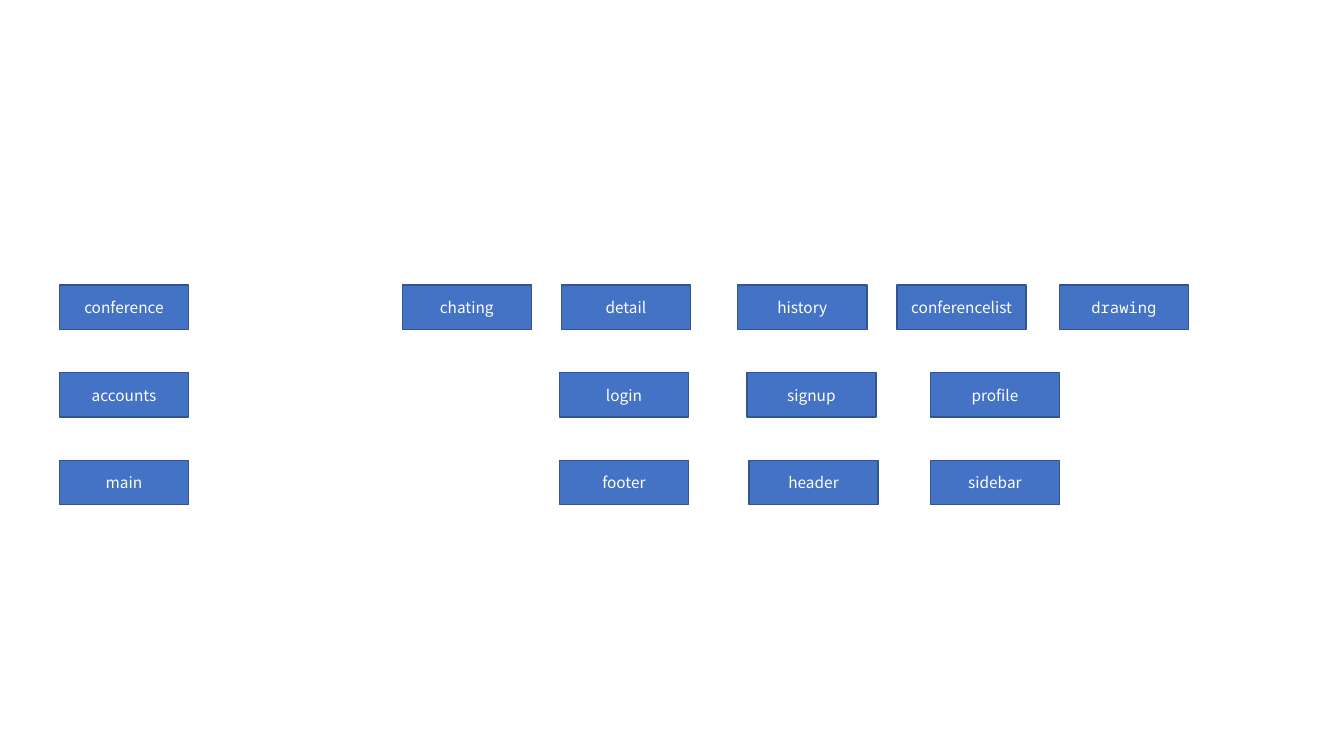
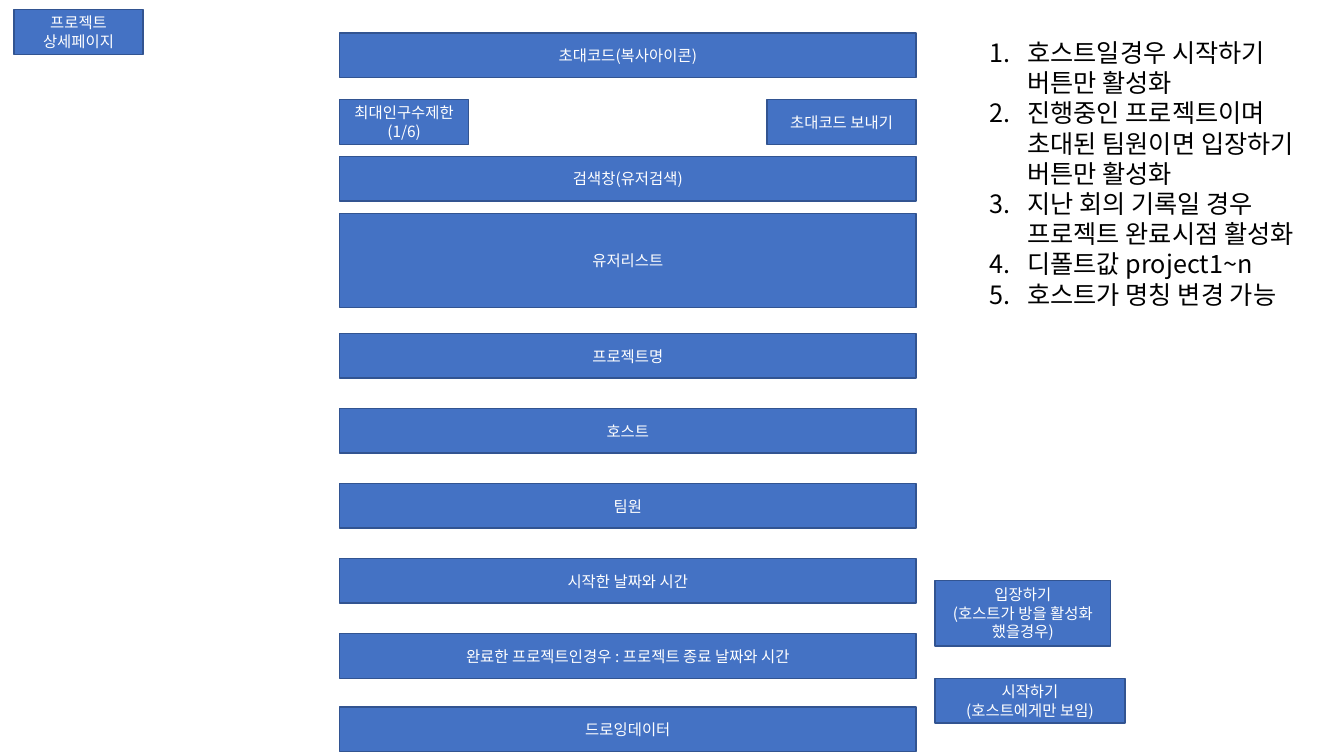
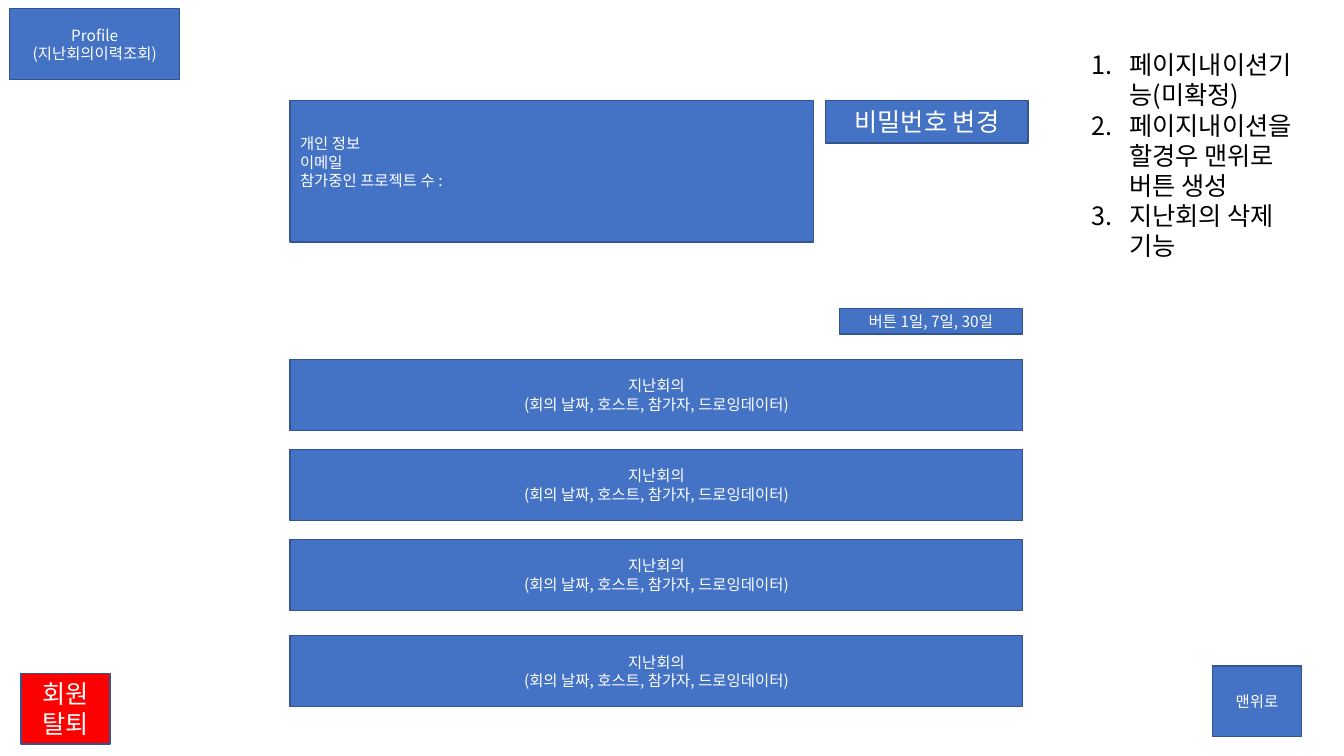
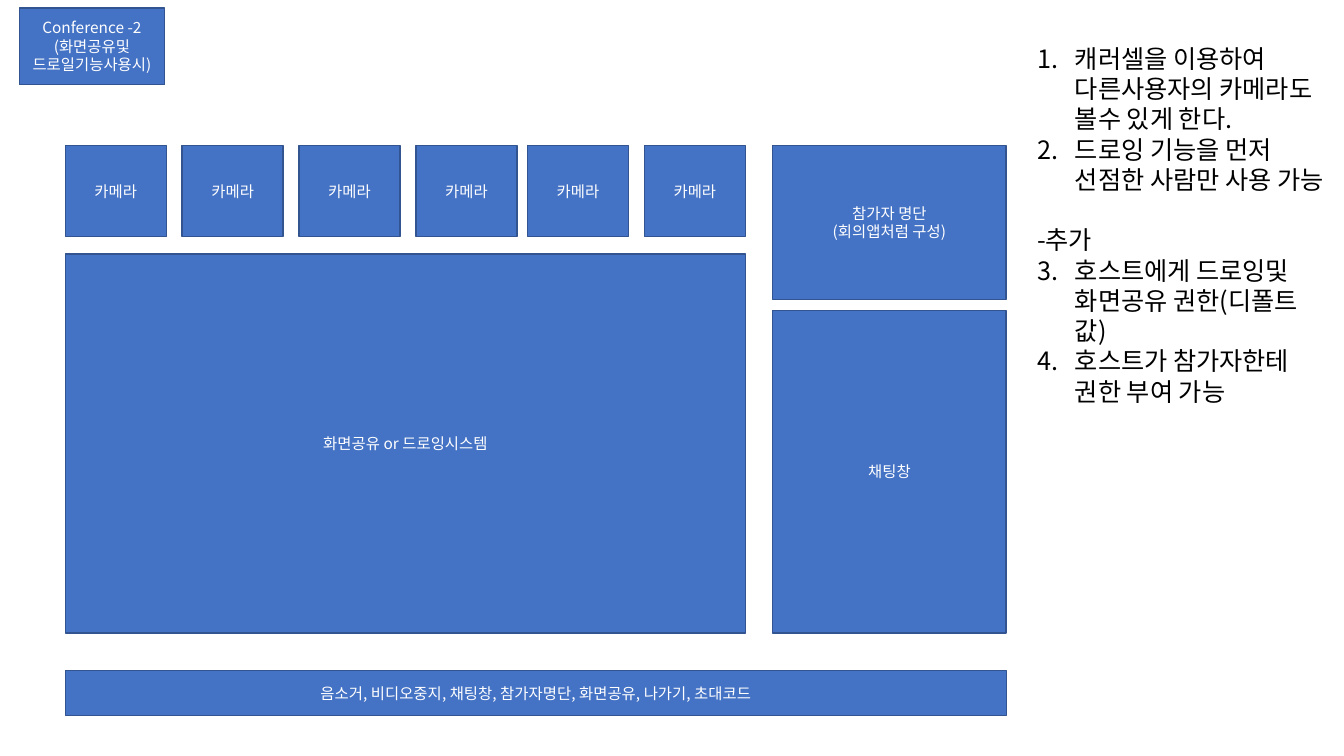
"""Build four wireframe slides for a video conference web app."""
from dataclasses import dataclass

from lxml.etree import SubElement
from pptx import Presentation
from pptx.dml.color import RGBColor
from pptx.enum.shapes import MSO_SHAPE
from pptx.enum.text import MSO_ANCHOR, MSO_AUTO_SIZE, PP_ALIGN
from pptx.oxml.ns import qn
from pptx.util import Pt


@dataclass(frozen=True)
class Theme:
    font: str = "Noto Sans CJK KR"
    mono: str = "Noto Sans Mono"
    fill: str = "4472C4"
    edge: str = "325491"
    alert: str = "FF0000"
    light: str = "FFFFFF"
    dark: str = "000000"
    small: float = 11
    large: float = 18
    lead: float = 1.2
    indent: float = 27


look = Theme()
WIDE, HIGH = 960, 540
BOX = (92.2, 31.8)

apps = [
    ("conference", [("chating", 287.3), ("detail", 401), ("history", 527),
                    ("conferencelist", 640.8), ("drawing", 756.7)]),
    ("accounts", [("login", 399.6), ("signup", 533.5), ("profile", 664.6)]),
    ("main", [("footer", 399.6), ("header", 535), ("sidebar", 664.6)]),
]
APP_X, APP_Y, APP_STEP = 42.5, 203.6, 62.6

STACK_X, STACK_W, STACK_Y, STACK_STEP = 242.6, 411.8, 238.3, 53.6
fields = ["프로젝트명", "호스트", "팀원", "시작한 날짜와 시간",
          "완료한 프로젝트인경우 : 프로젝트 종료 날짜와 시간"]
detail = [
    (["프로젝트 상세페이지"], 10, 7, *BOX),
    (["초대코드(복사아이콘)"], STACK_X, 23.6, STACK_W, BOX[1]),
    (["최대인구수제한", "(1/6)"], STACK_X, 71.3, *BOX),
    (["초대코드 보내기"], 547.9, 71.3, 106.5, BOX[1]),
    (["검색창(유저검색)"], STACK_X, 111.8, STACK_W, BOX[1]),
    (["유저리스트"], STACK_X, 152.6, STACK_W, 67),
    (["드로잉데이터"], STACK_X, 504.9, STACK_W, BOX[1]),
    (["입장하기", "(호스트가 방을 활성화 했을경우)"], 668, 414.6, 125.3, 47),
    (["시작하기", "(호스트에게만 보임)"], 668, 484.6, 135.5, BOX[1]),
]
rules = [
    (1, "호스트일경우 시작하기 버튼만 활성화"),
    (2, "진행중인 프로젝트이며 초대된 팀원이면 입장하기 버튼만 활성화"),
    (3, "지난 회의 기록일 경우 프로젝트 완료시점 활성화"),
    (4, "디폴트값 project1~n"),
    (5, "호스트가 명칭 변경 가능"),
]

PAST_X, PAST_W, PAST_H = 207.2, 523.4, 50.8
past = ["지난회의", "(회의 날짜, 호스트, 참가자, 드로잉데이터)"]
past_tops = [256.8, 321.1, 385.4, 454]
info = ["개인 정보", "이메일", "참가중인 프로젝트 수 :"]
profile = [
    (["Profile", "(지난회의이력조회)"], 7, 6.3, 121.3, 50.5),
    (["버튼 1일, 7일, 30일"], 599.6, 220.3, 130.6, 18.3),
    (["맨위로"], 866, 475.8, 63.7, 50.5),
]
paging = [
    (1, "페이지내이션기능(미확정)"),
    (2, "페이지내이션을 할경우 맨위로 버튼 생성"),
    (3, "지난회의 삭제 기능"),
]

CAM_Y, CAM_W, CAM_H, CAM_STEP = 104, 72.2, 64.8, 83.5
cam_sets = [(46.6, 4), (376.8, 2)]
room = [
    (["Conference -2", "(화면공유및", "드로일기능사용시)"], 13.9, 5.6, 103.7, 55),
    (["화면공유 or 드로잉시스템"], 46.6, 181.4, 486, 270.7),
    (["참가자 명단", "(회의앱처럼 구성)"], 552, 104, 166.7, 109.8),
    (["채팅창"], 552, 221.8, 166.7, 230.3),
    (["음소거, 비디오중지, 채팅창, 참가자명단, 화면공유, 나가기, 초대코드"],
     46.6, 478.8, 672.2, 32.3),
]
rights = [
    (1, "캐러셀을 이용하여 다른사용자의 카메라도 볼수 있게 한다."),
    (2, "드로잉 기능을 먼저 선점한 사람만 사용 가능"),
    (None, "-추가"),
    (3, "호스트에게 드로잉및 화면공유 권한(디폴트값)"),
    (4, "호스트가 참가자한테 권한 부여 가능"),
]


def write(frame, lines, size=look.small, color=look.light,
          font=look.font, align=PP_ALIGN.CENTER):
    """Fill a text frame with one paragraph per line and return them."""
    frame.word_wrap = True
    paras = [frame.paragraphs[0]]
    paras += [frame.add_paragraph() for _ in lines[1:]]
    for para, line in zip(paras, lines):
        para.alignment = align
        para.line_spacing = Pt(size * look.lead)
        run = para.add_run()
        run.text = line
        run.font.size = Pt(size)
        run.font.name = font
        run.font.color.rgb = RGBColor.from_string(color)
        SubElement(run.font._element, qn("a:ea"), typeface=look.font)
    return paras


def box(slide, lines, x, y, w, h, fill=look.fill, **form):
    """Draw a filled rectangle with centred text."""
    shape = slide.shapes.add_shape(
        MSO_SHAPE.RECTANGLE, Pt(x), Pt(y), Pt(w), Pt(h))
    shape.shadow.inherit = False
    shape.fill.solid()
    shape.fill.fore_color.rgb = RGBColor.from_string(fill)
    shape.line.color.rgb = RGBColor.from_string(look.edge)
    shape.line.width = Pt(1)
    shape.text_frame.vertical_anchor = MSO_ANCHOR.MIDDLE
    write(shape.text_frame, lines, **form)
    return shape


def notes(slide, items, x, y, w, h):
    """Write a numbered list; items without a number start a new group."""
    frame = slide.shapes.add_textbox(Pt(x), Pt(y), Pt(w), Pt(h)).text_frame
    paras = write(frame, [line for _, line in items], size=look.large,
                  color=look.dark, align=PP_ALIGN.LEFT)
    frame.auto_size = MSO_AUTO_SIZE.SHAPE_TO_FIT_TEXT
    first = 1
    for para, (number, _) in zip(paras, items):
        if number is None:
            para.space_before = Pt(look.large * look.lead)
            first = None
            continue
        first = first or number
        props = para._p.get_or_add_pPr()
        props.set("marL", str(Pt(look.indent)))
        props.set("indent", str(-Pt(look.indent)))
        SubElement(props, qn("a:buFont"), typeface=look.font)
        SubElement(props, qn("a:buAutoNum"), type="arabicPeriod",
                   startAt=str(first))


deck = Presentation()
deck.slide_width, deck.slide_height = Pt(WIDE), Pt(HIGH)
pages = [deck.slides.add_slide(deck.slide_layouts[6]) for _ in range(4)]
map_page, detail_page, user_page, room_page = pages

for row, (app, views) in enumerate(apps):
    for name, x in [(app, APP_X), *views]:
        font = look.mono if name == "drawing" else look.font
        box(map_page, [name], x, APP_Y + row * APP_STEP, *BOX, font=font)

for page, parts in [(detail_page, detail), (user_page, profile),
                    (room_page, room)]:
    for part in parts:
        box(page, *part)

for row, field in enumerate(fields):
    box(detail_page, [field], STACK_X, STACK_Y + row * STACK_STEP,
        STACK_W, BOX[1])
notes(detail_page, rules, 699.8, 23, 236.2, 247)

for top in past_tops:
    box(user_page, past, PAST_X, top, PAST_W, PAST_H)
box(user_page, ["비밀번호 변경"], 589.7, 71.8, 144.7, 30.5, size=look.large)
box(user_page, ["회원탈퇴"], 14.9, 481, 63.7, 50.5,
    fill=look.alert, size=look.large)
card = box(user_page, info, PAST_X, 71.8, 373.7, 101, align=PP_ALIGN.LEFT)
card.text_frame.margin_bottom = Pt(3.6 + look.small * look.lead)
notes(user_page, paging, 772.6, 31.7, 160.6, 181.4)

for start, count in cam_sets:
    for spot in range(count):
        box(room_page, ["카메라"], start + spot * CAM_STEP, CAM_Y,
            CAM_W, CAM_H)
notes(room_page, rights, 733.7, 27.4, 218.9, 290.9)

deck.save("out.pptx")
